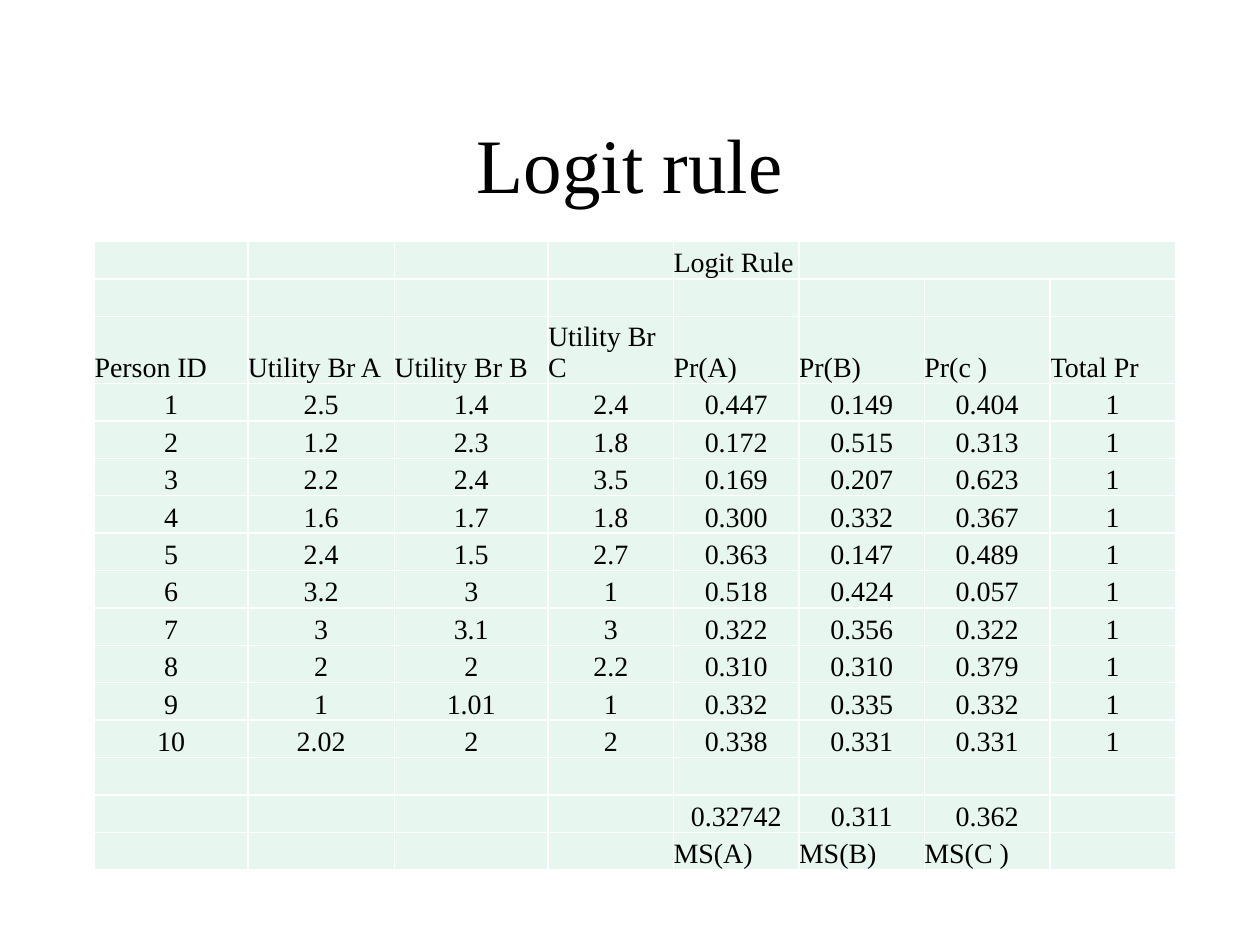
from dataclasses import dataclass

from lxml import etree
from pptx import Presentation
from pptx.dml.color import RGBColor
from pptx.enum import text
from pptx.oxml import ns
from pptx.util import Pt

TITLE = "Logit rule"
HEADINGS = ["Person ID", "Utility Br A", "Utility Br B", "Utility Br C",
            "Pr(A)", "Pr(B)", "Pr(c )", "Total Pr"]
PEOPLE = [
    ("1", "2.5", "1.4", "2.4", "0.447", "0.149", "0.404", "1"),
    ("2", "1.2", "2.3", "1.8", "0.172", "0.515", "0.313", "1"),
    ("3", "2.2", "2.4", "3.5", "0.169", "0.207", "0.623", "1"),
    ("4", "1.6", "1.7", "1.8", "0.300", "0.332", "0.367", "1"),
    ("5", "2.4", "1.5", "2.7", "0.363", "0.147", "0.489", "1"),
    ("6", "3.2", "3", "1", "0.518", "0.424", "0.057", "1"),
    ("7", "3", "3.1", "3", "0.322", "0.356", "0.322", "1"),
    ("8", "2", "2", "2.2", "0.310", "0.310", "0.379", "1"),
    ("9", "1", "1.01", "1", "0.332", "0.335", "0.332", "1"),
    ("10", "2.02", "2", "2", "0.338", "0.331", "0.331", "1"),
]
EMPTY = [""] * 8
GROUP = [""] * 4 + ["Logit Rule"] + [""] * 3
SHARES = [""] * 4 + ["0.32742", "0.311", "0.362", ""]
SHARE_NAMES = [""] * 4 + ["MS(A)", "MS(B)", "MS(C )", ""]
ROWS = [GROUP, EMPTY, HEADINGS, *PEOPLE, EMPTY, SHARES, SHARE_NAMES]

COLUMN_WIDTHS = [87.6, 83.8, 87.8] + [71.7] * 5
ROW_HEIGHT = 21.4


@dataclass(frozen=True)
class Theme:
    """Colours, font and type sizes of the slide."""
    font: str = "Times New Roman"
    ink: str = "000000"
    fill: str = "E7F6EF"
    rule: str = "FFFFFF"
    rule_width: float = 1
    title_size: float = 44
    table_size: float = 16


THEME = Theme()


def write(paragraph, words, size, align):
    """Put words in a paragraph in the theme font."""
    paragraph.text = words
    paragraph.alignment = align
    paragraph.font.name = THEME.font
    paragraph.font.size = Pt(size)
    paragraph.font.color.rgb = RGBColor.from_string(THEME.ink)


def add_borders(cell):
    """Draw the theme rule on all four sides of a cell."""
    properties = cell._tc.get_or_add_tcPr()
    for side in ("a:lnL", "a:lnR", "a:lnT", "a:lnB"):
        line = etree.SubElement(properties, ns.qn(side), w=str(Pt(THEME.rule_width)))
        paint = etree.SubElement(line, ns.qn("a:solidFill"))
        etree.SubElement(paint, ns.qn("a:srgbClr"), val=THEME.rule)


def style_cell(cell, words):
    """Fill one cell; numbers are centred and labels start at the left."""
    add_borders(cell)
    cell.fill.solid()
    cell.fill.fore_color.rgb = RGBColor.from_string(THEME.fill)
    cell.margin_left = cell.margin_right = cell.margin_top = cell.margin_bottom = Pt(0)
    cell.vertical_anchor = text.MSO_ANCHOR.BOTTOM
    is_number = words[:1].isdigit()
    align = text.PP_ALIGN.CENTER if is_number else text.PP_ALIGN.LEFT
    write(cell.text_frame.paragraphs[0], words, THEME.table_size, align)


def add_title(slide):
    """Add the centred slide title."""
    frame = slide.shapes.add_textbox(Pt(54), Pt(48), Pt(612), Pt(90)).text_frame
    frame.word_wrap = True
    frame.vertical_anchor = text.MSO_ANCHOR.MIDDLE
    write(frame.paragraphs[0], TITLE, THEME.title_size, text.PP_ALIGN.CENTER)


def add_probability_table(slide):
    """Add the table of utilities, probabilities and market shares."""
    table = slide.shapes.add_table(
        len(ROWS), len(COLUMN_WIDTHS), Pt(54), Pt(138),
        Pt(sum(COLUMN_WIDTHS)), Pt(ROW_HEIGHT * len(ROWS))).table
    table.first_row = table.horz_banding = False
    for column, width in zip(table.columns, COLUMN_WIDTHS):
        column.width = Pt(width)
    for r, row in enumerate(ROWS):
        table.rows[r].height = Pt(ROW_HEIGHT)
        for c, words in enumerate(row):
            style_cell(table.cell(r, c), words)
    table.cell(0, 5).merge(table.cell(0, 7))


deck = Presentation()
deck.slide_width, deck.slide_height = Pt(720), Pt(540)
logit_slide = deck.slides.add_slide(deck.slide_layouts[6])
add_title(logit_slide)
add_probability_table(logit_slide)
deck.save("out.pptx")
